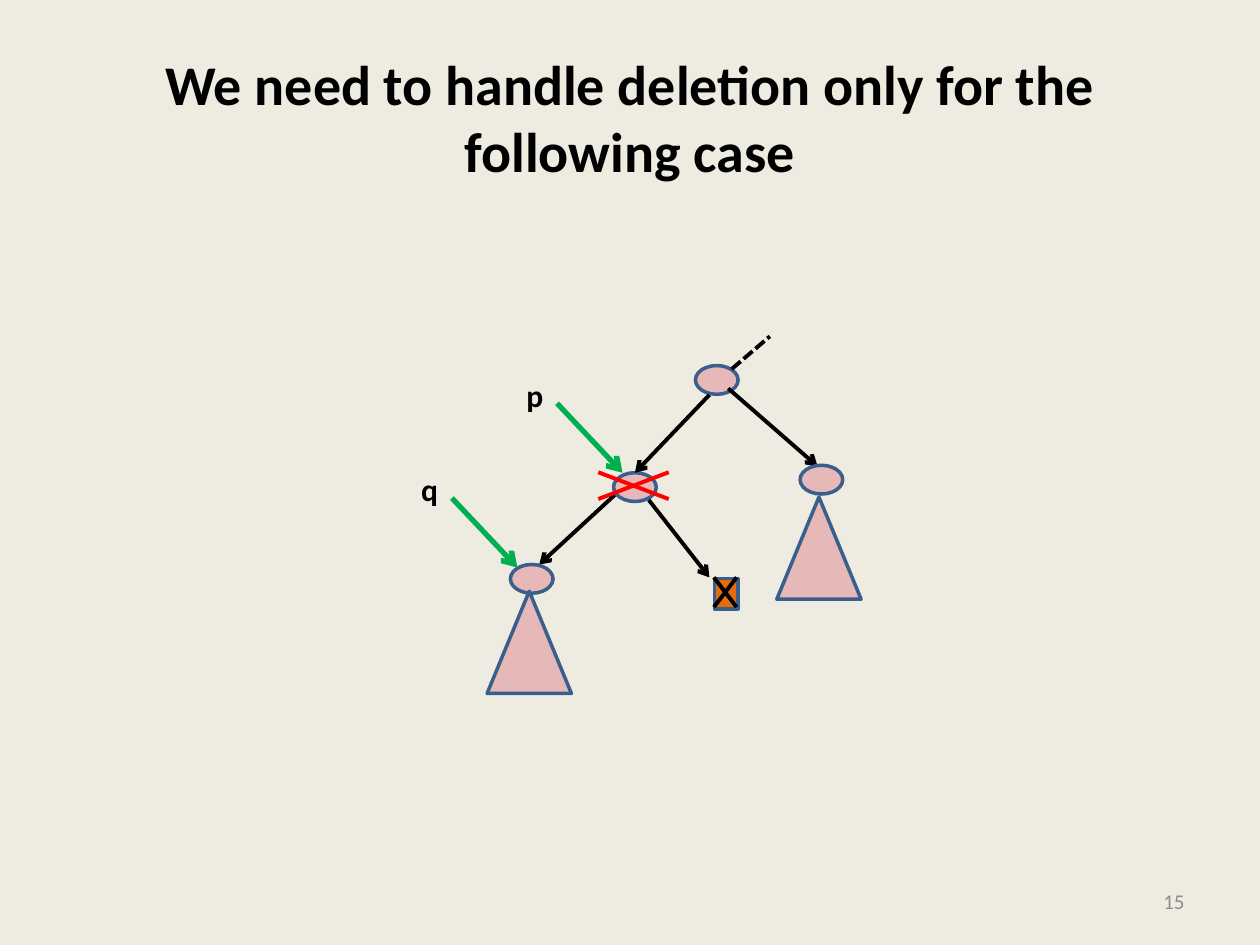
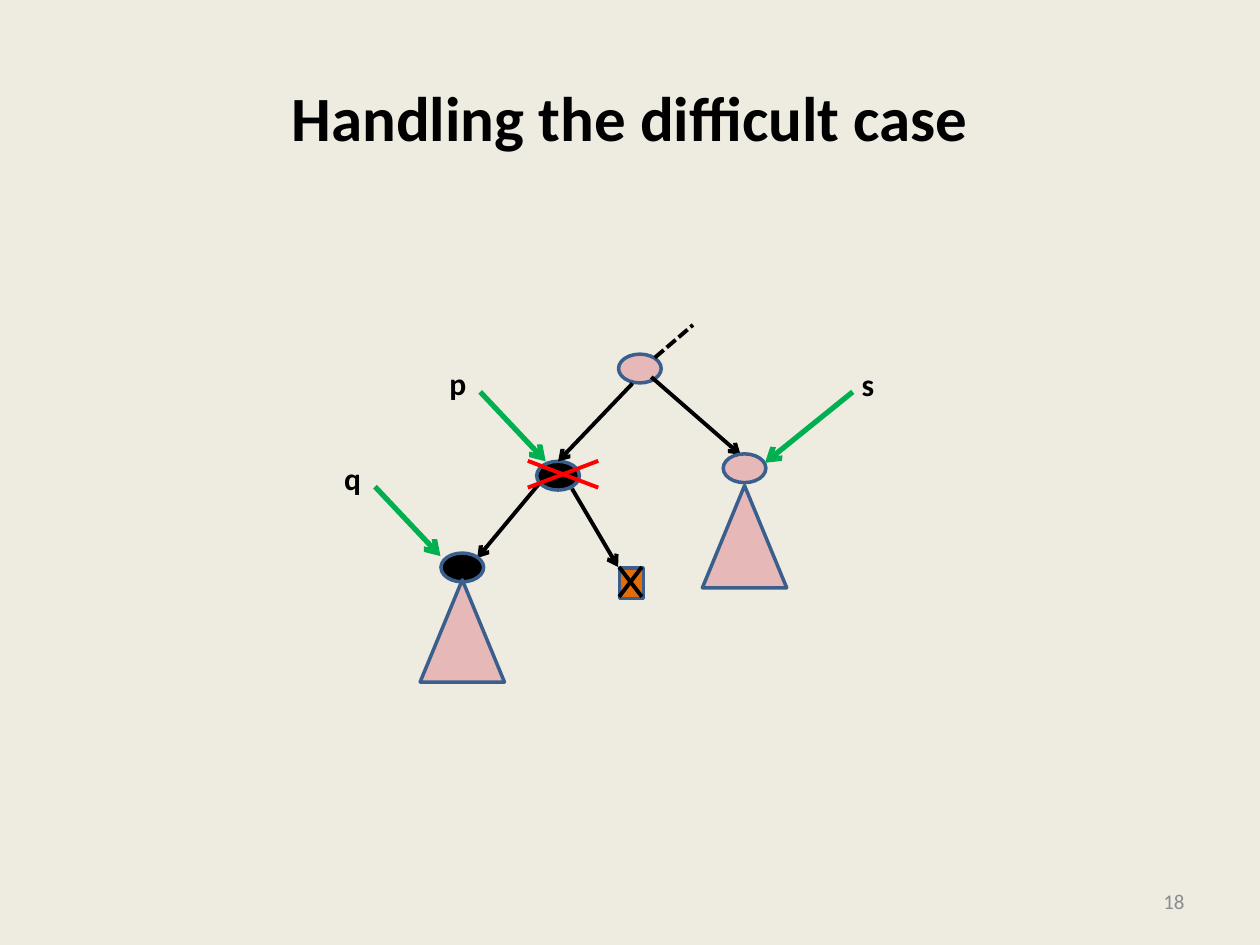
from pptx import Presentation
from pptx.dml.color import RGBColor
from pptx.enum.dml import MSO_LINE
from pptx.enum.shapes import MSO_CONNECTOR, MSO_SHAPE
from pptx.enum.text import MSO_ANCHOR, PP_ALIGN
from pptx.oxml.ns import qn
from pptx.util import Cm, Pt
from lxml import etree

LINE = MSO_CONNECTOR.STRAIGHT
OVAL, RECT, TRI = MSO_SHAPE.OVAL, MSO_SHAPE.RECTANGLE, MSO_SHAPE.ISOSCELES_TRIANGLE
DASH = MSO_LINE.SQUARE_DOT
LEFT, MID, RIGHT = PP_ALIGN.LEFT, PP_ALIGN.CENTER, PP_ALIGN.RIGHT
TOP, HALF = MSO_ANCHOR.TOP, MSO_ANCHOR.MIDDLE

# Content: places in cm; q and nil are measured from the root, shifts from their node
SLIDES = [
    dict(title="We need to handle deletion only for the following case",
         size=32, page="15", root=(14.45, 7.66), q=(-3.73, 4.01),
         nil=(0.19, 4.31), fill="pink", tri=-0.05, cross=-0.03,
         to_q=(0.15, -0.29), to_nil=(-0.34, -0.33), sibling=False),
    dict(title="Handling the difficult case",
         size=36, page="18", root=(12.9, 7.43), q=(-3.58, 4.01),
         nil=(-0.17, 4.33), fill="black", tri=0, cross=0.1,
         to_q=(0.3, -0.19), to_nil=(-0.27, -0.33), sibling=True),
]
HEX = dict(back="EEECE1", black="000000", grey="8C8C8C", pink="E6B9B8",
           edge="3A5F8C", orange="E46C0A", green="00B050", red="FF0000")
FONT = "Calibri"

# Shared layout of the tree
P_STEP, S_STEP = (-1.65, 2.16), (2.11, 2.01)
Q_MARK = (-2.12, 1.91)      # from the p pointer to the q pointer
NODE, NIL, TREE = (0.86, 0.58), (0.48, 0.61), (1.7, 2.06)


def rgb(name):
    return RGBColor.from_string(HEX[name])


def add(a, b):
    return a[0] + b[0], a[1] + b[1]


def put_text(slide, box, text, size, hue="black", bold=True, align=LEFT,
             anchor=TOP, wrap=True):
    frame = slide.shapes.add_textbox(*map(Cm, box)).text_frame
    frame.word_wrap = wrap
    frame.vertical_anchor = anchor
    frame.text = text
    para = frame.paragraphs[0]
    para.alignment = align
    font = para.runs[0].font
    font.name, font.size, font.bold = FONT, Pt(size), bold
    font.color.rgb = rgb(hue)


def put_shape(slide, kind, mid, size, fill="pink"):
    (x, y), (w, h) = mid, size
    shape = slide.shapes.add_shape(kind, Cm(x - w / 2), Cm(y - h / 2), Cm(w), Cm(h))
    shape.shadow.inherit = False
    shape.fill.solid()
    shape.fill.fore_color.rgb = rgb(fill)
    shape.line.color.rgb = rgb("edge")
    shape.line.width = Pt(2)
    return shape


def put_tree(slide, tip):
    put_shape(slide, TRI, add(tip, (0, TREE[1] / 2)), TREE)


def put_line(slide, a, b, hue="black", width=2.25, arrow=False, dash=None):
    line = slide.shapes.add_connector(LINE, *map(Cm, a + b))
    line.line.color.rgb = rgb(hue)
    line.line.width = Pt(width)
    if dash:
        line.line.dash_style = dash
    if arrow:
        tail = etree.SubElement(line.line._get_or_add_ln(), qn("a:tailEnd"))
        tail.set("type", "arrow")
    etree.SubElement(line._element.spPr, qn("a:effectLst"))
    return line


def put_cross(slide, mid, w, h, hue="black"):
    for rise in (h, -h):
        put_line(slide, add(mid, (-w, rise)), add(mid, (w, -rise)), hue)


def put_mark(slide, name, spot, label, start, end):
    put_line(slide, add(spot, start), add(spot, end), "green", 3, arrow=True)
    put_text(slide, add(spot, label) + (0.86, 1.02), name, 18, wrap=False)


def put_frame(slide, data):
    slide.background.fill.solid()
    slide.background.fill.fore_color.rgb = rgb("back")
    put_text(slide, (1.27, 0.76, 22.86, 3.18), data["title"], data["size"],
             align=MID, anchor=HALF)
    put_text(slide, (18.21, 17.65, 5.92, 1.02), data["page"], 12, "grey",
             False, RIGHT, HALF)


def put_diagram(slide, data):
    root = data["root"]
    p, s = add(root, P_STEP), add(root, S_STEP)
    q, nil = add(root, data["q"]), add(root, data["nil"])

    # Nodes and edges
    put_line(slide, add(p, (-0.28, 0.04)), add(q, data["to_q"]), arrow=True)
    node = put_shape(slide, OVAL, p, NODE, data["fill"])
    put_line(slide, add(p, (0.28, 0.26)), add(nil, data["to_nil"]), arrow=True)
    put_shape(slide, OVAL, q, NODE, data["fill"])
    put_shape(slide, OVAL, root, NODE)
    edge = put_line(slide, add(root, (-0.15, 0.3)), add(p, (0, -0.29)), arrow=True)
    edge.end_connect(node, 0)
    put_line(slide, add(root, (0.3, -0.22)), add(root, (1.07, -0.88)), dash=DASH)
    put_line(slide, add(root, (0.23, 0.17)), add(s, (-0.08, -0.27)), arrow=True)

    # Empty child and subtrees
    put_shape(slide, RECT, nil, NIL, "orange")
    put_cross(slide, add(nil, (-0.02, -0.03)), 0.23, 0.3)
    put_shape(slide, OVAL, s, NODE)
    put_tree(slide, add(q, (data["tri"], 0.25)))
    put_tree(slide, add(s, (data["tri"], 0.35)))

    # Named pointers
    for name, spot in (("p", p), ("q", add(p, Q_MARK))):
        put_mark(slide, name, spot, (-2.44, -2.37), (-1.57, -1.69), (-0.25, -0.29))
    if data["sibling"]:
        put_mark(slide, "s", s, (2.11, -2.2), (2.18, -1.54), (0.41, -0.11))

    # Deleted node
    put_cross(slide, add(p, (data["cross"], -0.03)), 0.71, 0.27, "red")


def main():
    deck = Presentation()
    deck.slide_width, deck.slide_height = Cm(25.4), Cm(19.05)
    for data in SLIDES:
        slide = deck.slides.add_slide(deck.slide_layouts[6])
        put_frame(slide, data)
        put_diagram(slide, data)
    deck.save("out.pptx")


if __name__ == "__main__":
    main()
